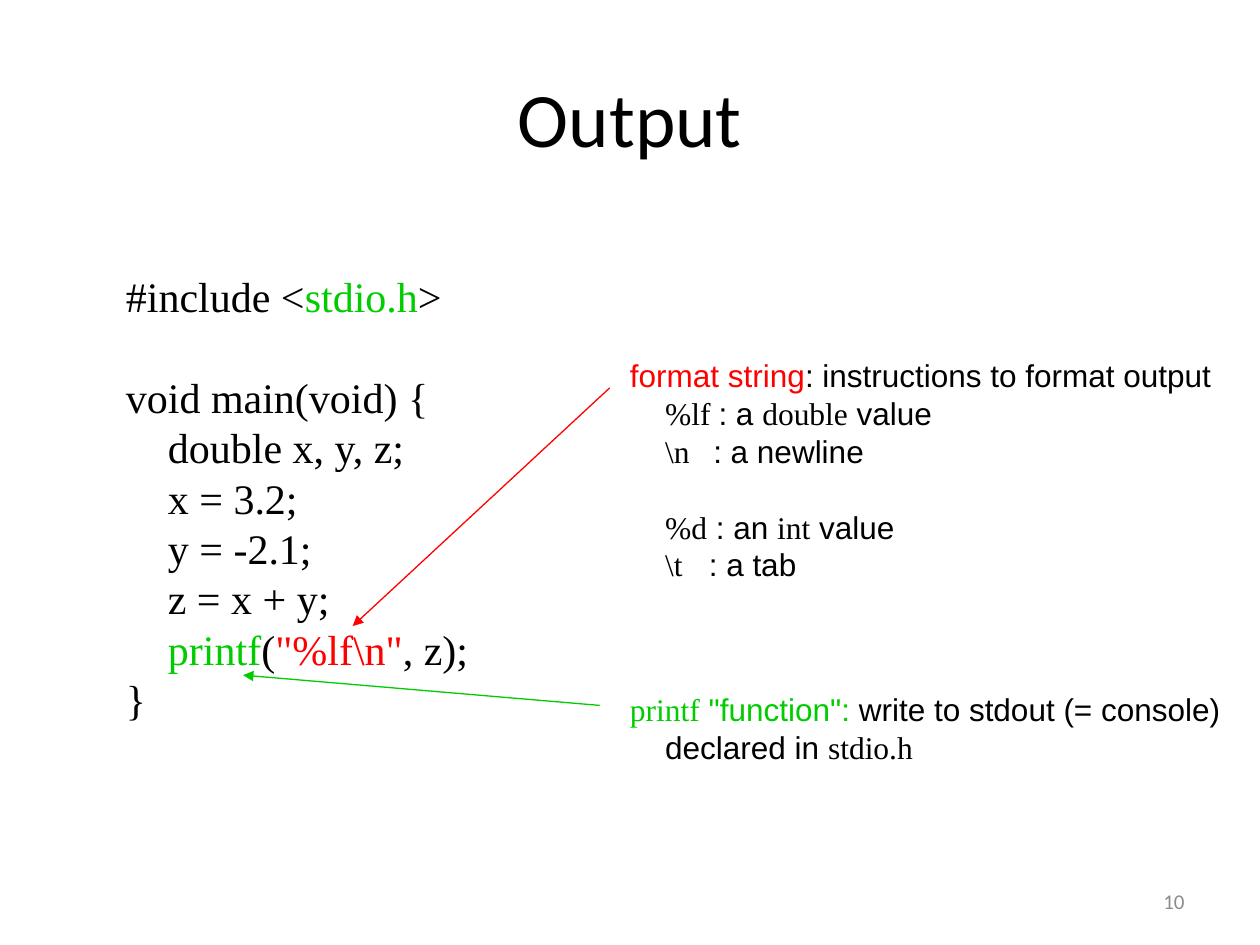
from dataclasses import dataclass

from lxml.etree import SubElement
from pptx import Presentation
from pptx.dml.color import RGBColor
from pptx.enum.shapes import MSO_CONNECTOR
from pptx.enum.text import MSO_ANCHOR, MSO_AUTO_SIZE, PP_ALIGN
from pptx.oxml.ns import qn
from pptx.util import Cm, Pt


@dataclass(frozen=True)
class Theme:
    """Colours, typefaces and type sizes of the slide."""
    black: str = "000000"
    green: str = "00CC00"
    red: str = "FF0000"
    gray: str = "8C8C8C"
    heading_face: str = "Calibri"
    code_face: str = "Times New Roman"
    note_face: str = "Arial"
    title_size: int = 44
    code_size: int = 24
    note_size: int = 18
    number_size: int = 12
    blank_line: float = 1.2


THEME = Theme()


@dataclass(frozen=True)
class Span:
    """A stretch of text with one colour and an optional typeface."""
    text: str
    color: str = THEME.black
    face: str = ""


@dataclass(frozen=True)
class Line:
    """A paragraph with its spans, tab stops in cm and a gap above."""
    spans: tuple
    stops: tuple = ()
    gap: bool = False


def code(text, color=THEME.black):
    """Make a span in the typeface for code."""
    return Span(text, color, THEME.code_face)


def note(text, color=THEME.black):
    """Make a span in the typeface for notes."""
    return Span(text, color, THEME.note_face)


def add_tab_stops(para, stops):
    """Give a paragraph left tab stops."""
    tab_list = SubElement(para._p.get_or_add_pPr(), qn("a:tabLst"))
    for stop in stops:
        SubElement(tab_list, qn("a:tab"), pos=str(Cm(stop)), algn="l")


def fill_paragraph(para, line, size):
    """Write the spans of a line, with shared fonts on the paragraph."""
    if line.gap:
        para.space_before = Pt(size * THEME.blank_line)
    if line.stops:
        add_tab_stops(para, line.stops)
    para.font.size = Pt(size)
    faces = {span.face for span in line.spans}
    if len(faces) == 1:
        para.font.name = line.spans[0].face
    for span in line.spans:
        run = para.add_run()
        run.text = span.text
        run.font.color.rgb = RGBColor.from_string(span.color)
        if len(faces) > 1:
            run.font.name = span.face


def add_lines(shapes, frame, lines, size):
    """Add a box that fits its unwrapped lines."""
    box = shapes.add_textbox(*map(Cm, frame))
    text_frame = box.text_frame
    text_frame.word_wrap = False
    text_frame.auto_size = MSO_AUTO_SIZE.SHAPE_TO_FIT_TEXT
    for index, line in enumerate(lines):
        para = text_frame.add_paragraph() if index else text_frame.paragraphs[0]
        fill_paragraph(para, line, size)


def add_label(shapes, frame, text, size, color, alignment):
    """Add one wrapped line centred vertically in its box."""
    box = shapes.add_textbox(*map(Cm, frame))
    box.text_frame.word_wrap = True
    box.text_frame.vertical_anchor = MSO_ANCHOR.MIDDLE
    para = box.text_frame.paragraphs[0]
    para.alignment = alignment
    fill_paragraph(para, Line((Span(text, color, THEME.heading_face),)), size)


def add_arrow(shapes, start, end, color):
    """Add a thin arrow that points at its end."""
    arrow = shapes.add_connector(MSO_CONNECTOR.STRAIGHT, *map(Cm, start + end))
    arrow.line.color.rgb = RGBColor.from_string(color)
    arrow.line.width = Pt(0.75)
    SubElement(arrow.line._get_or_add_ln(), qn("a:tailEnd"), type="triangle")
    SubElement(arrow._element.spPr, qn("a:effectLst"))


def add_callout(shapes, start, end, color, frame, lines):
    """Group a note with the arrow to the code it explains."""
    group = shapes.add_group_shape()
    add_arrow(group.shapes, start, end, color)
    add_lines(group.shapes, frame, lines, THEME.note_size)


def main():
    """Build the slide and save it."""
    deck = Presentation()
    deck.slide_width, deck.slide_height = Cm(25.4), Cm(19.05)
    shapes = deck.slides.add_slide(deck.slide_layouts[6]).shapes

    add_label(shapes, (1.27, 0.76, 22.86, 3.18), "Output",
              THEME.title_size, THEME.black, PP_ALIGN.CENTER)

    program = (
        Line((code("#include <"), code("stdio.h", THEME.green), code(">"))),
        Line((code("void main(void) {"),), gap=True),
        Line((code("    double x, y, z;"),)),
        Line((code("    x = 3.2;"),)),
        Line((code("    y = -2.1;"),)),
        Line((code("    z = x + y;"),)),
        Line((code("    "), code("printf", THEME.green), code("("),
              code('"%lf\\n"', THEME.red), code(", z);"))),
        Line((code("}"),)),
    )
    add_lines(shapes, (2.29, 5.33, 7.47, 9.5), program, THEME.code_size)

    indent = 0.71
    format_notes = (
        Line((note("format string", THEME.red),
              note(": instructions to format output"))),
        Line((code("\t%lf "), note(": a "), code("double"), note(" value")),
             (indent,)),
        Line((code("\t\\n\t"), note(": a newline")), (indent, 1.68)),
        Line((code("\t%d"), note(" : an "), code("int"), note(" value")),
             (indent,), gap=True),
        Line((code("\t\\t\t"), note(": a tab")), (indent, 1.59)),
    )
    add_callout(shapes, (12.29, 7.82), (7.11, 12.62), THEME.red,
                (12.45, 7.06, 12.22, 5.59), format_notes)

    function_notes = (
        Line((code("printf", THEME.green), note(' "function":', THEME.green),
              note(" write to stdout (= console)"))),
        Line((note("\tdeclared in "), code("stdio.h")), (indent,)),
    )
    add_callout(shapes, (12.09, 14.22), (4.9, 13.61), THEME.green,
                (12.45, 13.79, 12.52, 1.8), function_notes)

    add_label(shapes, (18.21, 17.65, 5.92, 1.02), "10",
              THEME.number_size, THEME.gray, PP_ALIGN.RIGHT)
    deck.save("out.pptx")


if __name__ == "__main__":
    main()
